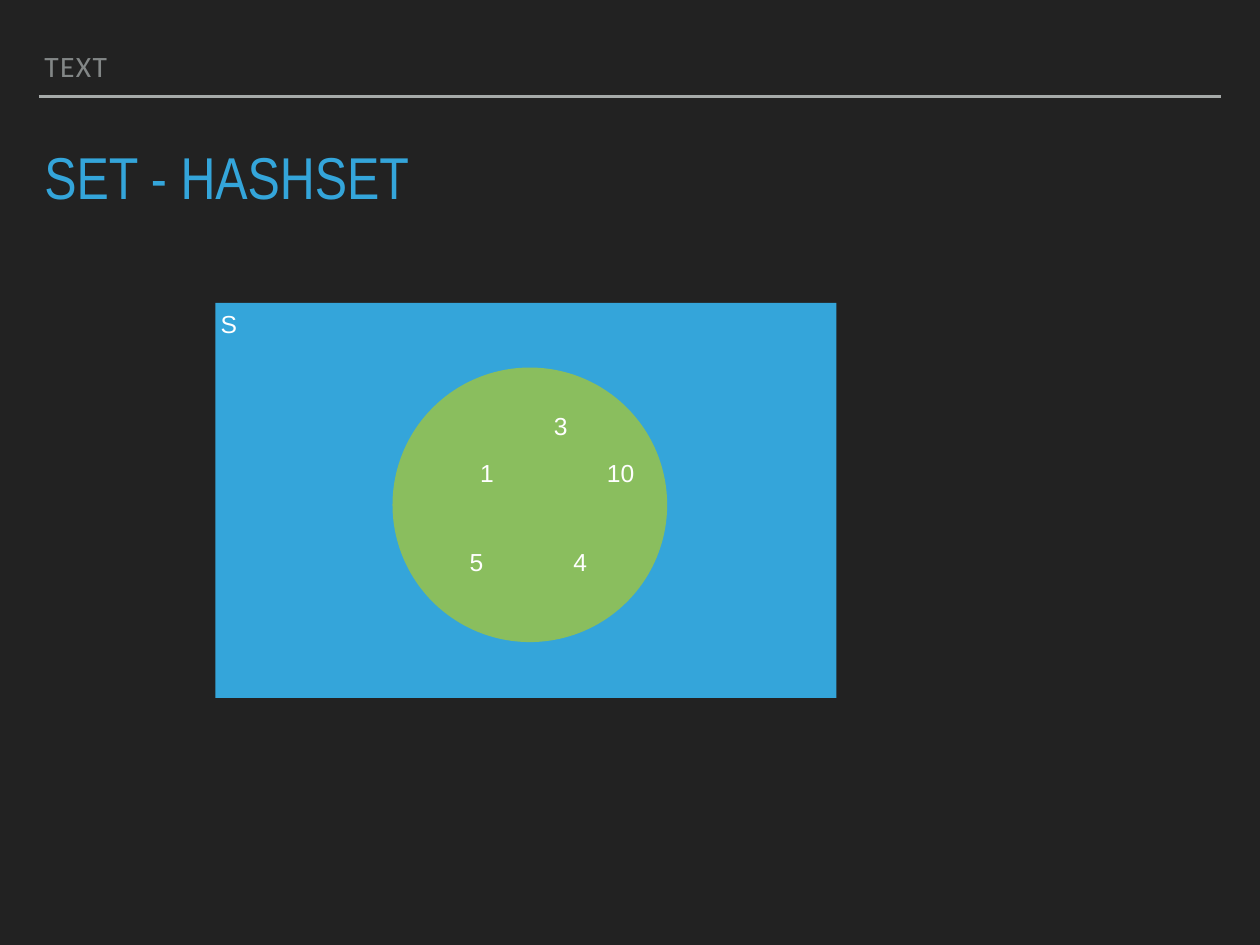
import dataclasses

import pptx
import pptx.dml.color
import pptx.enum.shapes
import pptx.enum.text
import pptx.oxml.ns
import pptx.util
from pptx.util import Inches

SHAPES = pptx.enum.shapes.MSO_SHAPE
ANCHORS = pptx.enum.text.MSO_ANCHOR


@dataclasses.dataclass(frozen=True)
class Theme:
    background: str = "222222"
    rule: str = "A6AAA9"
    muted: str = "838787"
    blue: str = "34A5DA"
    green: str = "8ABE5E"
    white: str = "FFFFFF"
    header_size: int = 24
    title_size: int = 48
    label_size: int = 20


THEME = Theme()


def rgb(color):
    return pptx.dml.color.RGBColor.from_string(color)


def add_rule(slide, left, right, y):
    rule = slide.shapes.add_connector(
        pptx.enum.shapes.MSO_CONNECTOR.STRAIGHT,
        Inches(left), Inches(y), Inches(right), Inches(y))
    rule.line.color.rgb = rgb(THEME.rule)
    rule.line.width = pptx.util.Pt(2)
    properties = rule._element.spPr
    properties.append(properties.makeelement(pptx.oxml.ns.qn("a:effectLst"), {}))


def add_region(slide, kind, box, color):
    region = slide.shapes.add_shape(kind, *map(Inches, box))
    region.shadow.inherit = False
    region.fill.solid()
    region.fill.fore_color.rgb = rgb(color)
    region.line.fill.background()


def add_text(slide, box, text, font, size, color, anchor,
             wrap=True, line_spacing=1.0, tracking=0):
    frame = slide.shapes.add_textbox(*map(Inches, box)).text_frame
    frame.word_wrap = wrap
    frame.vertical_anchor = anchor
    frame.margin_left = frame.margin_right = Inches(0.06)
    frame.margin_top = frame.margin_bottom = Inches(0.06)
    paragraph = frame.paragraphs[0]
    paragraph.line_spacing = line_spacing
    run = paragraph.add_run()
    run.text = text
    run.font.name = font
    run.font.size = pptx.util.Pt(size)
    run.font.color.rgb = rgb(color)
    if tracking:
        run._r.get_or_add_rPr().set("spc", str(tracking))


def add_label(slide, text, left, top, width=0.29):
    add_text(slide, (left, top, width, 0.49), text, "Arial",
             THEME.label_size, THEME.white, ANCHORS.MIDDLE, wrap=False)


def main():
    deck = pptx.Presentation()
    deck.slide_width = Inches(14.22)
    deck.slide_height = Inches(10.67)
    slide = deck.slides.add_slide(deck.slide_layouts[6])
    slide.background.fill.solid()
    slide.background.fill.fore_color.rgb = rgb(THEME.background)

    add_rule(slide, 0.44, 13.78, 1.09)
    add_text(slide, (0.44, 0.5, 12.22, 0.5), "TEXT", "Calibri",
             THEME.header_size, THEME.muted, ANCHORS.BOTTOM,
             line_spacing=0.8, tracking=120)
    add_text(slide, (0.44, 1.68, 13.33, 0.79), "SET - HASHSET", "Arial Narrow",
             THEME.title_size, THEME.blue, ANCHORS.TOP, line_spacing=0.8)

    add_region(slide, SHAPES.RECTANGLE, (2.43, 3.42, 7.01, 4.46), THEME.blue)
    add_region(slide, SHAPES.OVAL, (4.43, 4.15, 3.1, 3.1), THEME.green)

    add_label(slide, "S", 2.43, 3.41, 0.28)
    add_label(slide, "10", 6.79, 5.09, 0.46)
    members = [("1", 5.36, 5.09), ("5", 5.24, 6.1),
               ("4", 6.41, 6.1), ("3", 6.19, 4.56)]
    for number, left, top in members:
        add_label(slide, number, left, top)

    deck.save("out.pptx")


if __name__ == "__main__":
    main()
